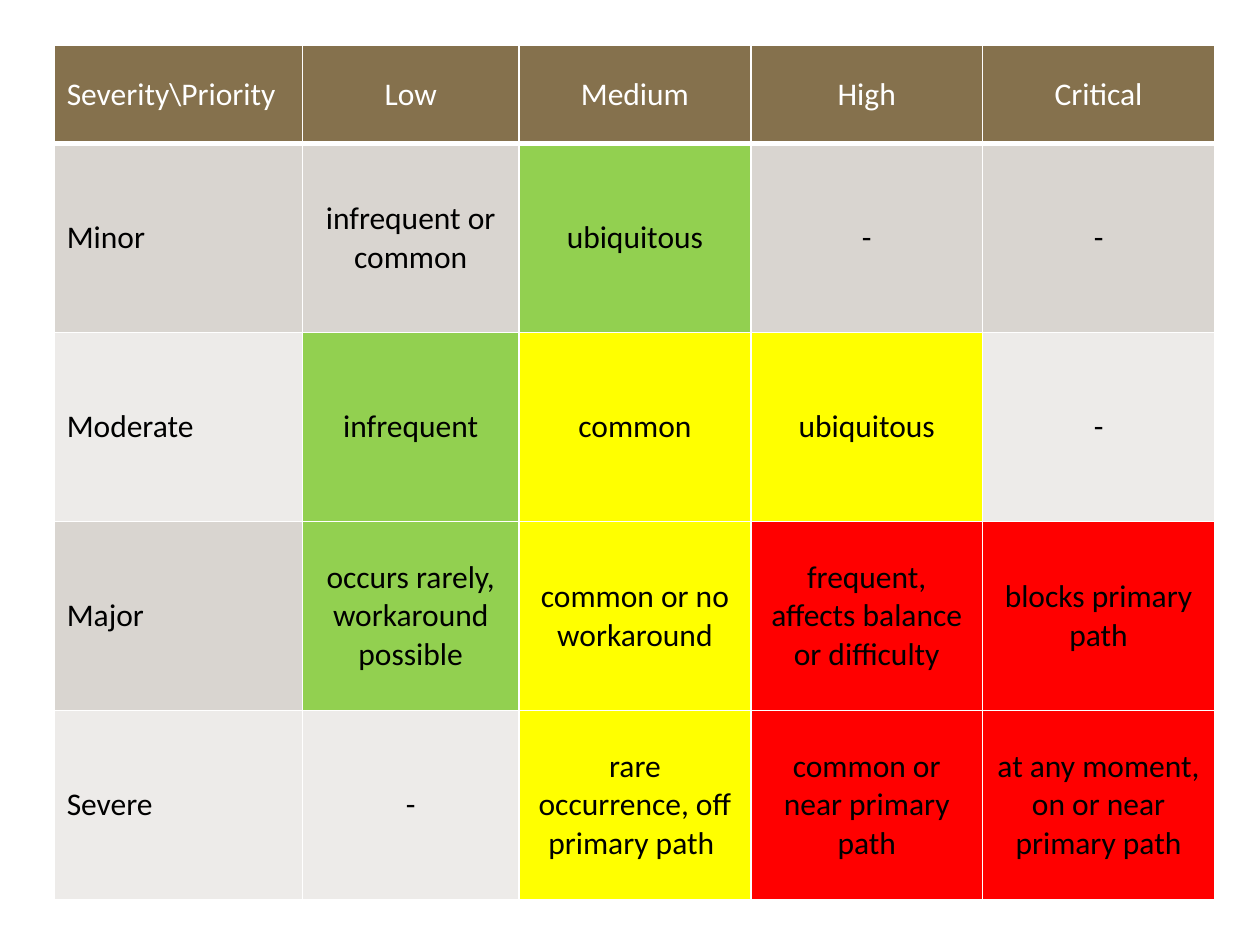
"""Build a severity and priority matrix slide."""
from dataclasses import dataclass

from lxml.etree import SubElement
from pptx import Presentation
from pptx.dml.color import RGBColor as RGB
from pptx.enum.text import MSO_ANCHOR as ANCHOR, PP_ALIGN as ALIGN
from pptx.oxml.ns import qn
from pptx.util import Inches, Pt


@dataclass(frozen=True)
class Theme:
    """Colours, type and line widths of the slide."""
    font: str = "Calibri"
    size: int = 18
    header: str = "85714D"
    bands: tuple[str, str] = ("D9D5D0", "EDEBE9")
    light: str = "FFFFFF"
    dark: str = "000000"
    green: str = "92D050"
    yellow: str = "FFFF00"
    red: str = "FF0000"
    rule: int = 1
    header_rule: int = 3


@dataclass(frozen=True)
class Entry:
    """A cell's wording and its optional highlight colour."""
    text: str
    fill: str = ""


T = Theme()
LEFT, TOP = 0.43, 0.36
COLS = (1.97, 1.72) + (1.84,) * 3
ROWS = (0.78,) + (1.5,) * 4
NONE = Entry("-")
MATRIX = (
    tuple(map(Entry, ("Severity\\Priority", "Low", "Medium", "High", "Critical"))),
    (Entry("Minor"), Entry("infrequent or common"), Entry("ubiquitous", T.green), NONE, NONE),
    (Entry("Moderate"), Entry("infrequent", T.green), Entry("common", T.yellow),
     Entry("ubiquitous", T.yellow), NONE),
    (Entry("Major"), Entry("occurs rarely, workaround possible", T.green),
     Entry("common or no workaround", T.yellow),
     Entry("frequent, affects balance or difficulty", T.red),
     Entry("blocks primary path", T.red)),
    (Entry("Severe"), NONE, Entry("rare occurrence, off primary path ", T.yellow),
     Entry("common or near primary path", T.red),
     Entry("at any moment, on or near primary path", T.red)),
)


def set_borders(cell, widths: dict[str, int]) -> None:
    """Draw solid light borders with the given widths in points."""
    props = cell._tc.get_or_add_tcPr()
    for side, width in widths.items():
        line = SubElement(props, qn(f"a:ln{side}"), w=str(Pt(width)))
        SubElement(SubElement(line, qn("a:solidFill")), qn("a:srgbClr"), val=T.light)


def draw_cell(cell, entry: Entry, row: int, col: int) -> None:
    """Fill, border and write one matrix cell."""
    is_header = row == 0
    base = T.header if is_header else T.bands[(row - 1) % 2]
    bottom = T.header_rule if is_header else T.rule
    set_borders(cell, {"L": T.rule, "R": T.rule, "T": T.rule, "B": bottom})
    cell.fill.solid()
    cell.fill.fore_color.rgb = RGB.from_string(entry.fill or base)
    cell.vertical_anchor = ANCHOR.MIDDLE
    p = cell.text_frame.paragraphs[0]
    p.alignment = ALIGN.CENTER if col else ALIGN.LEFT
    r = p.add_run()
    r.text = entry.text
    for name, value in {"name": T.font, "size": Pt(T.size), "bold": False}.items():
        setattr(r.font, name, value)
    r.font.color.rgb = RGB.from_string(T.light if is_header else T.dark)


def draw_matrix(s) -> None:
    """Add the matrix table to the slide."""
    frame = (Inches(v) for v in (LEFT, TOP, sum(COLS), sum(ROWS)))
    table = s.shapes.add_table(len(ROWS), len(COLS), *frame).table
    for column, width in zip(table.columns, COLS):
        column.width = Inches(width)
    for row, height in zip(table.rows, ROWS):
        row.height = Inches(height)
    for i, entries in enumerate(MATRIX):
        for j, entry in enumerate(entries):
            draw_cell(table.cell(i, j), entry, i, j)


def main() -> None:
    """Create and save the presentation."""
    prs = Presentation()
    prs.slide_width, prs.slide_height = Inches(10), Inches(7.5)
    draw_matrix(prs.slides.add_slide(prs.slide_layouts[6]))
    prs.save("out.pptx")


main()
